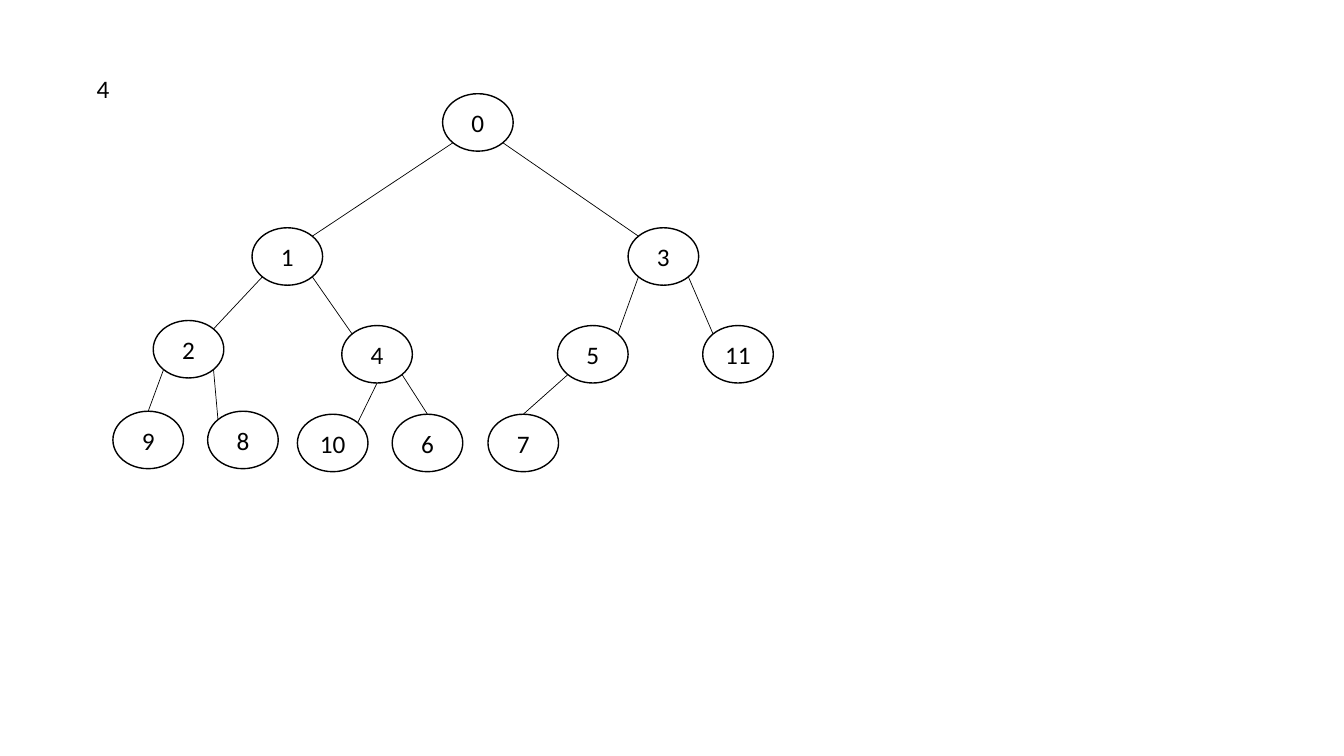
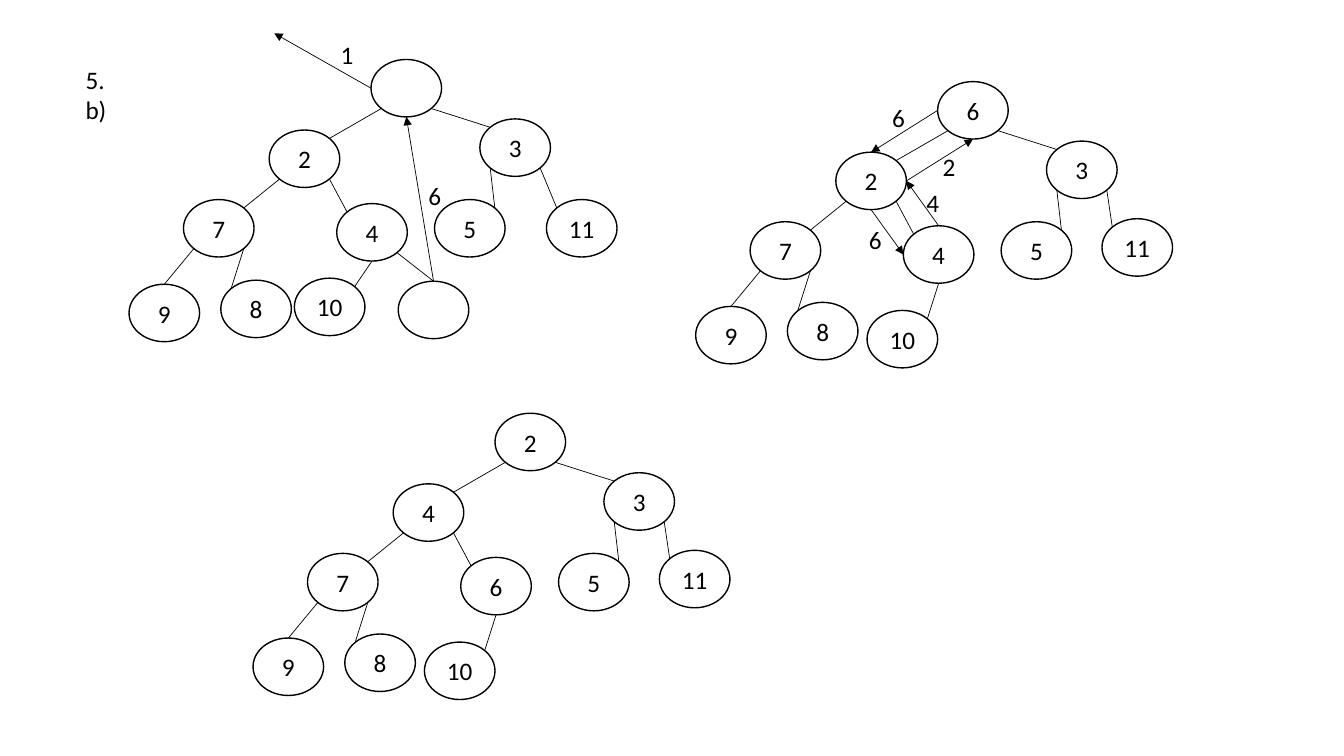
from dataclasses import dataclass
from typing import NamedTuple

import lxml.etree
import pptx
import pptx.dml.color
import pptx.enum.shapes
import pptx.enum.text
import pptx.oxml.ns
import pptx.util

Inches = pptx.util.Inches
Align = pptx.enum.text.PP_ALIGN
Anchor = pptx.enum.text.MSO_ANCHOR


# Shared look
@dataclass(frozen=True)
class Theme:
    ink: str = "000000"
    paper: str = "FFFFFF"
    font: str = "Calibri"
    size: float = 18
    rim: float = 1
    edge: float = 0.5
    wide: float = 0.7
    high: float = 0.57


THEME = Theme()


class Point(NamedTuple):
    x: float
    y: float


class Label(NamedTuple):
    text: str
    x: float
    y: float
    wide: float = 0.37
    high: float = 0.41


class End(NamedTuple):
    node: str
    site: str


class Arrow(NamedTuple):
    start: End
    end: End | Point


# A node is named by its route from the root: "LR" is left, then right.
@dataclass(frozen=True)
class Tree:
    root: Point
    plan: dict[str, Point]
    keys: dict[str, str]
    arrows: tuple[Arrow, ...] = ()


# Points on a node's rim, as shares of its width and height
NEAR, FAR = 0.146, 0.854
SITES = {
    "top": Point(0.5, 0), "left": Point(0, 0.5),
    "bottom": Point(0.5, 1), "right": Point(1, 0.5),
    "top left": Point(NEAR, NEAR), "top right": Point(FAR, NEAR),
    "low left": Point(NEAR, FAR), "low right": Point(FAR, FAR),
}
# Edges that leave or reach a node at its middle
TOP_IN = {"LLL", "LRR", "RLL"}
LOW_OUT = {"LRL"}


def color(code: str) -> pptx.dml.color.RGBColor:
    return pptx.dml.color.RGBColor.from_string(code)


def write(frame, text: str, *, align=Align.LEFT, anchor=Anchor.TOP,
          size: float = THEME.size, ink: str = THEME.ink) -> None:
    frame.word_wrap = True
    frame.vertical_anchor = anchor
    para = frame.paragraphs[0]
    para.alignment = align
    run = para.add_run()
    run.text = text
    run.font.name = THEME.font
    run.font.size = pptx.util.Pt(size)
    run.font.color.rgb = color(ink)


def draw_label(slide, label: Label) -> None:
    box = slide.shapes.add_textbox(*map(Inches, label[1:]))
    write(box.text_frame, label.text)
    box.text_frame.auto_size = pptx.enum.text.MSO_AUTO_SIZE.SHAPE_TO_FIT_TEXT


def draw_node(slide, spot: Point, key: str) -> None:
    node = slide.shapes.add_shape(
        pptx.enum.shapes.MSO_SHAPE.OVAL,
        *map(Inches, (spot.x, spot.y, THEME.wide, THEME.high)))
    node.shadow.inherit = False
    node.fill.solid()
    node.fill.fore_color.rgb = color(THEME.paper)
    node.line.color.rgb = color(THEME.ink)
    node.line.width = pptx.util.Pt(THEME.rim)
    if key:
        write(node.text_frame, key, align=Align.CENTER, anchor=Anchor.MIDDLE)


def draw_line(slide, start: Point, end: Point, head: bool = False) -> None:
    line = slide.shapes.add_connector(
        pptx.enum.shapes.MSO_CONNECTOR.STRAIGHT, *map(Inches, start + end))
    line.line.color.rgb = color(THEME.ink)
    line.line.width = pptx.util.Pt(THEME.edge)
    name = pptx.oxml.ns.qn
    if head:
        lxml.etree.SubElement(line.line._get_or_add_ln(), name("a:tailEnd"),
                              type="triangle")
    lxml.etree.SubElement(line._element.spPr, name("a:effectLst"))


def draw_tree(slide, tree: Tree) -> None:
    spots = {route: Point(tree.root.x + tree.plan[route].x,
                          tree.root.y + tree.plan[route].y)
             for route in tree.keys}

    def place(node: str, site: str) -> Point:
        spot, share = spots[node], SITES[site]
        return Point(spot.x + share.x * THEME.wide,
                     spot.y + share.y * THEME.high)

    for route, key in tree.keys.items():
        draw_node(slide, spots[route], key)
    # Edges from each child to its parent
    for route in filter(None, tree.keys):
        side, back = (("left", "right") if route[-1] == "L"
                      else ("right", "left"))
        child = "top" if route in TOP_IN else f"top {back}"
        parent = "bottom" if route in LOW_OUT else f"low {side}"
        draw_line(slide, place(route, child), place(route[:-1], parent))
    # Moves of keys
    for start, end in tree.arrows:
        goal = place(*end) if isinstance(end, End) else end
        draw_line(slide, place(*start), goal, head=True)


# Node offsets from the root
BROAD = {
    "": Point(0, 0), "L": Point(-1.89, 1.33), "R": Point(1.84, 1.33),
    "LL": Point(-2.87, 2.25), "LR": Point(-1, 2.3),
    "RL": Point(1.14, 2.3), "RR": Point(2.58, 2.3),
    "LLL": Point(-3.27, 3.15), "LLR": Point(-2.33, 3.15),
    "LRL": Point(-1.44, 3.18), "LRR": Point(-0.5, 3.18),
    "RLL": Point(0.45, 3.18),
}
TIGHT = {
    "": Point(0, 0), "L": Point(-1.01, 0.7), "R": Point(1.08, 0.59),
    "LL": Point(-1.86, 1.39), "LR": Point(-0.34, 1.43),
    "RL": Point(0.63, 1.39), "RR": Point(1.63, 1.36),
    "LLL": Point(-2.4, 2.23), "LLR": Point(-1.49, 2.19),
    "LRL": Point(-0.7, 2.27),
}
FULL = TIGHT | {"RR": Point(1.74, 1.39), "LRL": Point(-0.76, 2.17),
                "LRR": Point(0.27, 2.2)}

# Keys that the small trees share
BASE = {"R": "3", "LL": "7", "RL": "5", "RR": "11",
        "LLL": "9", "LLR": "8", "LRL": "10"}

FIRST = Tree(Point(4.39, 0.93), BROAD, {
    "": "0", "L": "1", "R": "3", "LL": "2", "LR": "4", "RL": "5", "RR": "11",
    "LLL": "9", "LLR": "8", "LRL": "10", "LRR": "6", "RLL": "7"})
TAKEN = Tree(
    Point(3.68, 0.59), FULL, BASE | {"": "", "L": "2", "LR": "4", "LRR": ""},
    (Arrow(End("", "left"), Point(2.72, 0.33)),
     Arrow(End("LRR", "top"), End("", "bottom"))))
SWAPPED = Tree(
    Point(9.3, 0.81), TIGHT, BASE | {"": "6", "L": "2", "LR": "4"},
    (Arrow(End("", "left"), End("L", "top")),
     Arrow(End("L", "bottom"), End("LR", "left")),
     Arrow(End("LR", "top"), End("L", "right")),
     Arrow(End("L", "right"), End("", "bottom"))))
FINAL = Tree(Point(4.91, 4.1), TIGHT, BASE | {"": "2", "L": "4", "LR": "6"})

# Each slide: its trees, then its labels
PAGES = (
    ((FIRST,), (Label("4", 0.86, 0.68, 0.39, 0.4),)),
    ((TAKEN, SWAPPED, FINAL), (
        Label("5. b)", 0.75, 0.59, 0.54, 0.71),
        Label("1", 3.28, 0.34, 0.35, 0.4),
        Label("6", 4.15, 1.74),
        Label("6", 8.75, 0.97),
        Label("6", 8.52, 2.18),
        Label("4", 9.09, 1.81),
        Label("2", 9.25, 1.45))),
)

deck = pptx.Presentation()
deck.slide_width, deck.slide_height = Inches(13.33), Inches(7.5)
for trees, labels in PAGES:
    slide = deck.slides.add_slide(deck.slide_layouts[6])
    for tree in trees:
        draw_tree(slide, tree)
    for label in labels:
        draw_label(slide, label)
deck.save("out.pptx")
